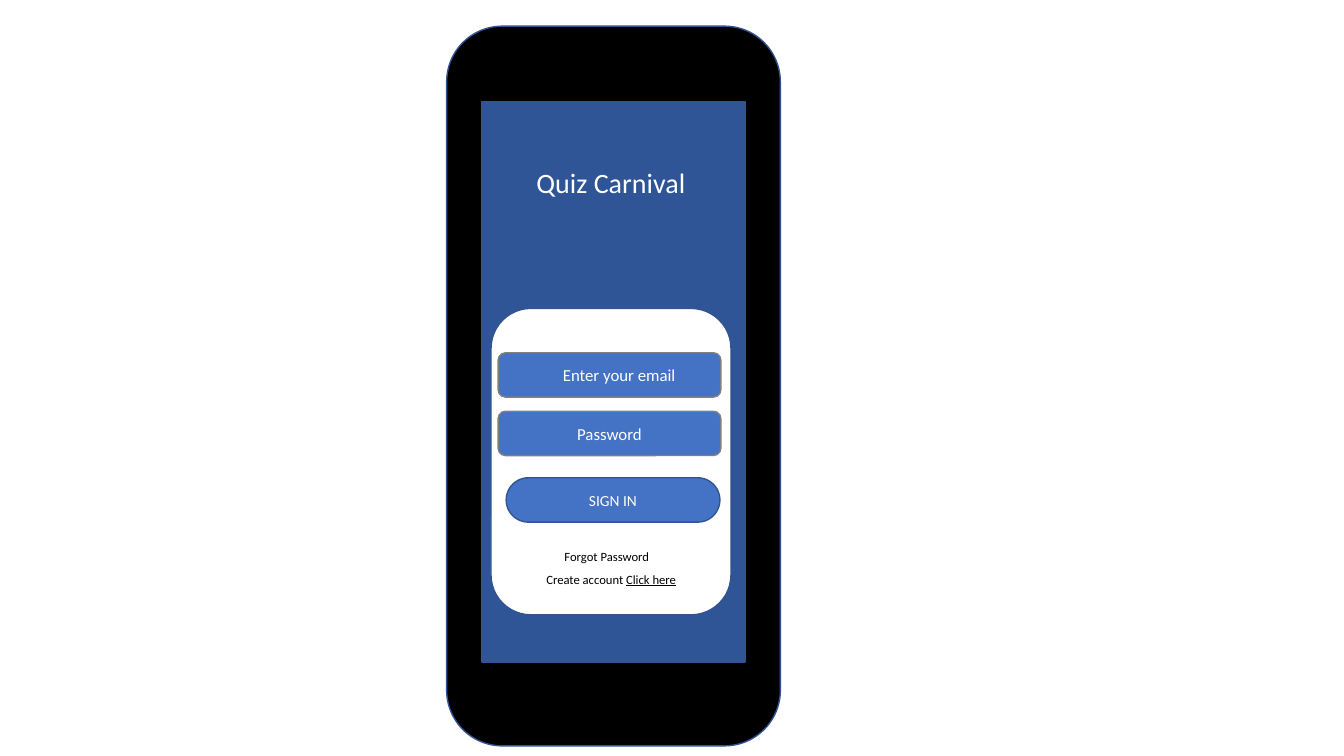
"""Build a slide showing the sign-in screen of a quiz app on a phone."""
from pptx import Presentation
from pptx.dml.color import RGBColor
from pptx.enum import shapes, text
from pptx.util import Inches, Pt

BLACK = RGBColor(0x00, 0x00, 0x00)
WHITE = RGBColor(0xFF, 0xFF, 0xFF)
GRAY = RGBColor(0x80, 0x80, 0x80)
BLUE = RGBColor(0x44, 0x72, 0xC4)
SCREEN_BLUE = RGBColor(0x2F, 0x55, 0x97)
OUTLINE_BLUE = RGBColor(0x32, 0x54, 0x91)

RECTANGLE = shapes.MSO_SHAPE.RECTANGLE
ROUNDED = shapes.MSO_SHAPE.ROUNDED_RECTANGLE


def set_font(paragraph, size, color):
    """Format a whole paragraph."""
    paragraph.font.name = "Calibri"
    paragraph.font.size = Pt(size)
    paragraph.font.color.rgb = color


def add_panel(container, kind, bounds, fill, line=OUTLINE_BLUE):
    """Add a filled, outlined shape and return it."""
    shape = container.shapes.add_shape(kind, *map(Inches, bounds))
    shape.shadow.inherit = False
    shape.fill.solid()
    shape.fill.fore_color.rgb = fill
    shape.line.color.rgb = line
    shape.line.width = Pt(1)
    return shape


def add_button(container, bounds, label, size=12, line=GRAY):
    """Add a rounded blue control with a centred label and return it."""
    shape = add_panel(container, ROUNDED, bounds, BLUE, line)
    frame = shape.text_frame
    frame.vertical_anchor = text.MSO_ANCHOR.MIDDLE
    paragraph = frame.paragraphs[0]
    paragraph.text = label
    paragraph.alignment = text.PP_ALIGN.CENTER
    set_font(paragraph, size, WHITE)
    return shape


def add_caption(container, bounds, label):
    """Add a line of small text and return its paragraph."""
    frame = container.shapes.add_textbox(*map(Inches, bounds)).text_frame
    frame.word_wrap = True
    paragraph = frame.paragraphs[0]
    paragraph.text = label
    set_font(paragraph, 9, BLACK)
    return paragraph


def place_title(slide, bounds, label):
    """Move the title placeholder in front of the screen and format it."""
    title = slide.shapes.title
    title.left, title.top, title.width, title.height = map(Inches, bounds)
    title.element.getparent().append(title.element)
    frame = title.text_frame
    frame.text = label
    frame.word_wrap = True
    frame.auto_size = text.MSO_AUTO_SIZE.NONE
    frame.vertical_anchor = text.MSO_ANCHOR.TOP
    frame.paragraphs[0].alignment = text.PP_ALIGN.LEFT
    set_font(frame.paragraphs[0], 20, WHITE)


def add_sign_in_form(slide):
    """Add the grouped sign-in card."""
    form = slide.shapes.add_group_shape()
    add_panel(form, ROUNDED, (4.87, 3.06, 2.38, 3.04), WHITE)
    email = add_button(form, (4.94, 3.5, 2.21, 0.44), "Enter your email")
    email.text_frame.margin_left = Inches(0.29)
    add_button(form, (4.94, 4.08, 2.21, 0.44), "Password")
    sign_in = add_button(form, (5.02, 4.74, 2.12, 0.44), "SIGN IN", 11, OUTLINE_BLUE)
    sign_in.adjustments[0] = 0.5
    add_caption(form, (5.5, 5.4, 1.89, 0.25), "Forgot Password")
    account = add_caption(form, (5.32, 5.62, 1.89, 0.25), "Create account ")
    link = account.add_run()
    link.text = "Click here"
    link.font.underline = True


def main():
    """Build and save the presentation."""
    presentation = Presentation()
    presentation.slide_width = Inches(13.33)
    presentation.slide_height = Inches(7.5)
    slide = presentation.slides.add_slide(presentation.slide_layouts[5])
    add_panel(slide, ROUNDED, (4.43, 0.26, 3.31, 7.14), BLACK)
    add_panel(slide, RECTANGLE, (4.78, 1.01, 2.61, 5.56), SCREEN_BLUE)
    place_title(slide, (5.22, 1.59, 1.79, 0.44), "Quiz Carnival")
    add_sign_in_form(slide)
    presentation.save("out.pptx")


if __name__ == "__main__":
    main()
